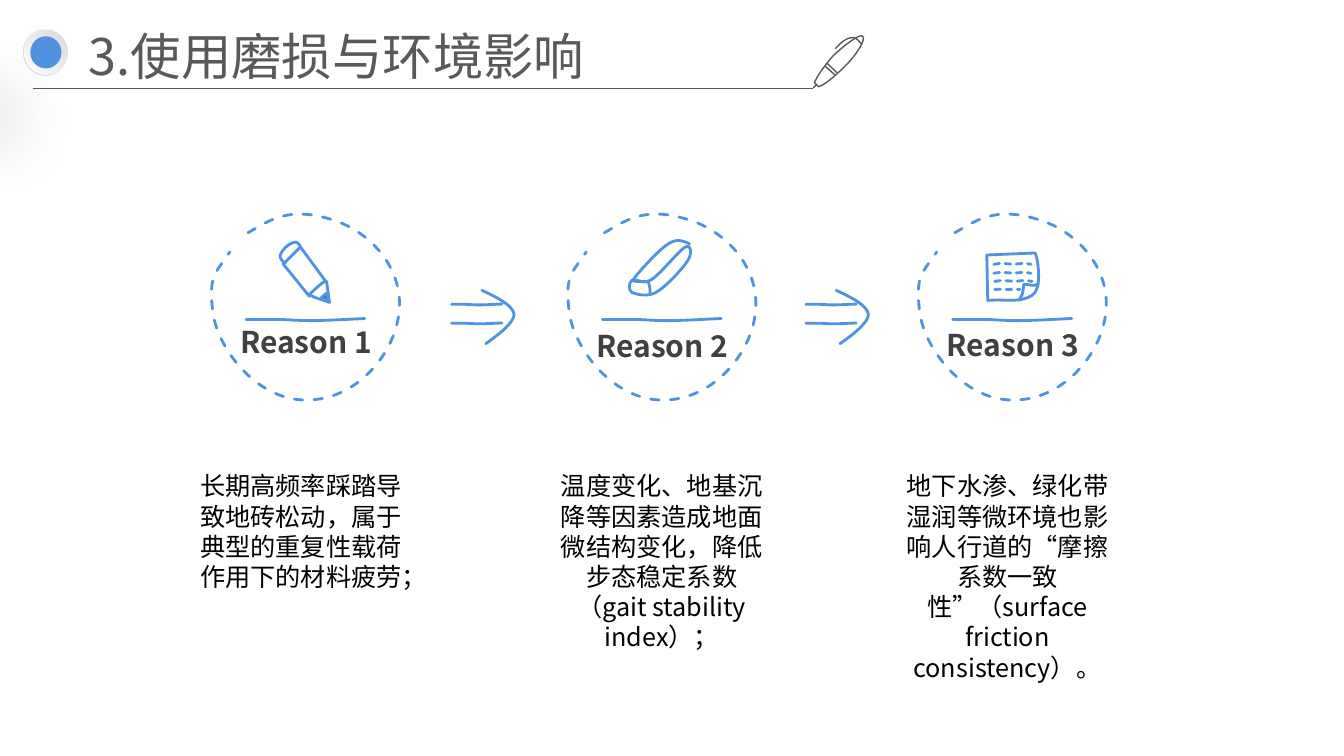
"""Build the slide on wear and surroundings."""
from lxml import etree
from pptx import Presentation
from pptx.dml.color import RGBColor
from pptx.enum.dml import MSO_LINE
from pptx.enum.shapes import MSO_CONNECTOR, MSO_SHAPE
from pptx.enum.text import MSO_AUTO_SIZE, PP_ALIGN
from pptx.oxml import parse_xml
from pptx.oxml.ns import nsdecls, qn
from pptx.util import Pt

DASH, DOTS = MSO_LINE.DASH, MSO_LINE.SQUARE_DOT
OVAL, LINE = MSO_SHAPE.OVAL, MSO_CONNECTOR.STRAIGHT
GROW, LEFT, MID = MSO_AUTO_SIZE.SHAPE_TO_FIT_TEXT, PP_ALIGN.LEFT, PP_ALIGN.CENTER

BLUE = RGBColor(0x50, 0x93, 0xE2)
DOT = RGBColor(0x50, 0x92, 0xE0)
NAVY = RGBColor(0x16, 0x48, 0x83)
GRAY = RGBColor(0x59, 0x59, 0x59)
DARK = RGBColor(0x40, 0x40, 0x40)
BLACK = RGBColor(0, 0, 0)
WHITE = RGBColor(0xFF, 0xFF, 0xFF)
PALE = RGBColor(0xD9, 0xD9, 0xD9)
SNOW = RGBColor(0xFE, 0xFE, 0xFE)
SANS, HEAD = "Noto Sans CJK SC", "Noto Sans CJK JP"

RING = [(177.1, 166.3), (192.2, 157.7, 205.2, 147.6, 234.7, 156.2),
        (264.2, 164.2, 288, 191.5, 285.1, 221.8),
        (283, 251.3, 255.6, 285.8, 218.9, 285.8),
        (181.4, 285.8, 154.1, 246.2, 151.9, 221.8),
        (149, 197.3, 153.4, 195.8, 164.2, 180)]
RULE = [(175.7, 228.2), (183.6, 228.2, 190.8, 228.2, 198, 228.2),
        (205.9, 228.2, 211, 229, 221.8, 229),
        (231.8, 229, 246.2, 228.2, 260.6, 227.5)]
TIP = [(235.4, 216), (229, 213.8, 221.8, 211.7, 221, 210.2),
       (225.4, 206.6, 231.1, 200.2, 233.3, 200.9), (235.4, 216)]
BODY = [(232.6, 200.9), (214.6, 176.4), (202.3, 188.6), (221, 211.7)]
LEAD = [(234, 214.6), (231.8, 213.8, 229.7, 213.1, 229.7, 212.4),
        (231.1, 211.7, 232.6, 209.5, 233.3, 209.5), (234, 214.6)]
CAP = [(203.8, 187.9), (201.6, 186.5, 199.4, 184.3, 200.2, 182.2),
       (200.9, 179.3, 205.9, 174.2, 208.8, 173.5),
       (211, 172.1, 213.8, 173.5, 214.6, 176.4)]
SHEET = [(704.9, 182.2), (705.6, 214.6), (713.5, 213.8, 724.3, 215.3, 730.1, 213.8),
         (735.8, 212.4, 739.4, 211, 740.9, 205.2),
         (743, 200.2, 741.6, 185, 739.4, 180.7), (704.9, 182.2)]
CURL = [(728.6, 213.1), (730.1, 211, 730.8, 208.8, 730.8, 207.4),
        (731.5, 205.9, 730.8, 203, 731.5, 203),
        (733, 203, 735.8, 203.8, 737.3, 203.8),
        (738.7, 203.8, 740.2, 203.8, 741.6, 203)]
WAVE = [(0, 1), (0.09, 0, 0.18, 0, 0.27, 0), (0.36, 0, 0.45, 1, 0.54, 1),
        (0.6, 1, 0.68, 0, 0.76, 0), (0.84, 0, 0.92, 0, 1, 1)]
ROWS = [(709.9, 188.2, 26.6, 0.6), (709.9, 194.6, 26.6, 0.6),
        (710.6, 200.4, 26.6, 0.6), (710.6, 206.6, 18, 0.2)]
RUBBER = [(451.4, 200.2), (449.3, 201.6, 448.6, 207.4, 451.4, 208.8),
          (454.3, 210.2, 462.2, 212.4, 468.7, 208.8),
          (475.2, 205.2, 487.4, 192.2, 491, 186.5),
          (494.6, 181.4, 493.9, 174.2, 489.6, 176.4),
          (485.3, 178.6, 472.3, 195.1, 465.8, 199.4),
          (460.1, 203.8, 454.3, 198.7, 451.4, 200.2)]
EDGE = [(464.4, 209.5), (464.4, 205.2, 463.7, 202.3, 463, 201.6),
        (463, 200.9, 451.4, 201.6, 452.2, 200.2),
        (452.2, 198.7, 470.9, 177.8, 477.4, 174.2),
        (483.8, 169.9, 488.2, 172.1, 492.5, 174.2)]
SHAFT = [(322.6, 0.2), (325.4, 0.2, 329, 0.2, 331.9, 0.2),
         (335.5, 0.2, 337.7, 0.6, 342, 0.6), (346.3, 0.6, 352.8, 0.2, 358.6, 0)]
BARB = [(344.2, 207.4), (355, 212.4, 366.5, 218.2, 367.2, 224.6),
        (367.2, 230.4, 357.1, 238.3, 347, 245.5)]
PEN = [[(596.2, 53.3), (589.7, 47.5)],
       [(591.1, 45.4), (597.6, 51.8)],
       [(616.3, 25.9), (614.9, 23.8, 605.5, 30.2, 595.4, 39.6),
        (588.2, 47.5, 583.2, 55.4, 581.8, 59), (584.6, 61.9),
        (588.2, 61.2, 595.4, 55.4, 603.4, 47.5),
        (612.7, 38.2, 618.5, 28.1, 616.3, 25.9)],
       [(583.2, 60.5), (581, 62.6)],
       [(615.6, 31.7), (615.6, 31.7, 613.4, 28.8, 611.3, 27.4),
        (611.3, 27.4, 606.2, 23.8, 596.9, 34.6)]]

REASONS = [
    ("Reason 1", 0, 227.5, 133.9, "长期高频率踩踏导致地砖松动，属于典型的重复性载荷作用下的材料疲劳；"),
    ("Reason 2", 254.6, 230.4, 391.7,
     "温度变化、地基沉降等因素造成地面微结构变化，降低步态稳定系数（gait stability index）；"),
    ("Reason 3", 504.9, 229.7, 638.6,
     "地下水渗、绿化带湿润等微环境也影响人行道的“摩擦系数一致性”（surface friction consistency）。"),
]


def place(stroke, x=0, y=0, w=1, h=1):
    """Return the stroke scaled and moved."""
    return [tuple(y + h * v if i % 2 else x + w * v for i, v in enumerate(step))
            for step in stroke]


def bend(shape, steps):
    """Turn the line steps that hold six numbers into Bezier curves."""
    for line, step in zip(list(shape._element.iter(qn("a:lnTo"))), steps):
        if len(step) == 6:
            line.tag = qn("a:cubicBezTo")
            for i in (0, 2):
                point = etree.Element(qn("a:pt"))
                point.set("x", str(Pt(step[i]) - shape.left))
                point.set("y", str(Pt(step[i + 1]) - shape.top))
                line.insert(i // 2, point)


def draw(slide, *strokes, color=BLUE, width=2, dash=None, fill=None):
    """Draw strokes as one outline, closing those that end where they start."""
    pen = None
    for stroke in strokes:
        ends = [(Pt(step[-2]), Pt(step[-1])) for step in stroke]
        if pen is None:
            pen = slide.shapes.build_freeform(*ends[0], scale=1.0)
        else:
            pen.move_to(*ends[0])
        pen.add_line_segments(ends[1:], close=ends[0] == ends[-1])
    shape = pen.convert_to_shape()
    bend(shape, [step for stroke in strokes for step in stroke[1:]])
    shape.shadow.inherit = False
    if fill is None:
        shape.fill.background()
    else:
        shape.fill.solid()
        shape.fill.fore_color.rgb = fill
    shape.line.color.rgb = color
    shape.line.width = Pt(width)
    if dash is not None:
        shape.line.dash_style = dash
    shape._element.spPr.find(qn("a:ln")).set("cap", "rnd")


def write(slide, text, x, y, w, h, size=18, font=SANS, color=BLACK, bold=False,
          align=MID, pad=(7.2, 3.6)):
    """Add a wrapped text box."""
    frame = slide.shapes.add_textbox(Pt(x), Pt(y), Pt(w), Pt(h)).text_frame
    frame.word_wrap = True
    frame.auto_size = GROW
    frame.margin_left = frame.margin_right = Pt(pad[0])
    frame.margin_top = frame.margin_bottom = Pt(pad[1])
    para = frame.paragraphs[0]
    para.alignment = align
    run = para.add_run()
    run.text = text
    run.font.name, run.font.size, run.font.bold = font, Pt(size), bold
    run.font.color.rgb = color
    etree.SubElement(run.font._element, qn("a:ea")).set("typeface", font)


def disc(slide, x, y, w, h, *colors, shade=False):
    """Add an oval with a plain or round gradient fill."""
    oval = slide.shapes.add_shape(OVAL, Pt(x), Pt(y), Pt(w), Pt(h))
    oval.shadow.inherit = False
    oval.line.fill.background()
    if len(colors) == 1:
        oval.fill.solid()
        oval.fill.fore_color.rgb = colors[0]
    else:
        oval.fill.gradient()
        for stop, color in zip(oval.fill.gradient_stops, colors):
            stop.color.rgb = color
        lin = oval._element.spPr.find(".//" + qn("a:lin"))
        lin.getparent().replace(lin, parse_xml(
            f'<a:path {nsdecls("a")} path="circle">'
            '<a:fillToRect l="100000" b="100000"/></a:path>'))
    if shade:
        oval._element.spPr.find(qn("a:effectLst")).append(parse_xml(
            f'<a:outerShdw {nsdecls("a")} blurRad="{Pt(50)}" dist="{Pt(60)}" '
            'dir="7800000" algn="ctr" rotWithShape="0"><a:srgbClr val="000000">'
            '<a:alpha val="25000"/></a:srgbClr></a:outerShdw>'))


def rule(slide, x, y, end):
    """Add the thin line under the title."""
    line = slide.shapes.add_connector(LINE, Pt(x), Pt(y), Pt(end), Pt(y))
    line.line.color.rgb = GRAY
    line.line.width = Pt(0.5)
    etree.SubElement(line._element.spPr, qn("a:effectLst"))


def main():
    """Build and save the slide."""
    deck = Presentation()
    deck.slide_width, deck.slide_height = Pt(960), Pt(540)
    slide = deck.slides.add_slide(deck.slide_layouts[6])
    for label, dx, top, left, text in REASONS:
        draw(slide, place(RING, dx), dash=DASH)
        draw(slide, place(RULE, dx))
        write(slide, label, 164.2 + dx, top, 108.7, 33.1, size=21.4, color=DARK, bold=True)
        write(slide, text, left, 332.6, 162, 94.3 if dx == 0 else 138.2)
    for part in (TIP, BODY, CAP, SHEET, CURL, RUBBER, EDGE):
        draw(slide, part)
    draw(slide, LEAD, fill=NAVY)
    for row in ROWS:
        draw(slide, place(WAVE, *row), dash=DOTS)
    for dx in (0, 253.1):
        for y in (217.2, 230.7):
            draw(slide, place(SHAFT, dx, y))
        draw(slide, place(BARB, dx))
    rule(slide, 23.8, 62.9, 581)
    draw(slide, *PEN, color=GRAY, width=1)
    write(slide, "3.使用磨损与环境影响", 54, 13, 398.2, 53.3, size=36, font=HEAD,
          color=GRAY, align=LEFT, pad=(9.4, 5))
    disc(slide, 16.6, 20.9, 31.7, 33.1, WHITE, PALE, shade=True)
    disc(slide, 17.3, 21.6, 31, 31.7, PALE, SNOW)
    disc(slide, 21.6, 25.9, 22.3, 23, DOT)
    deck.save("out.pptx")


if __name__ == "__main__":
    main()
